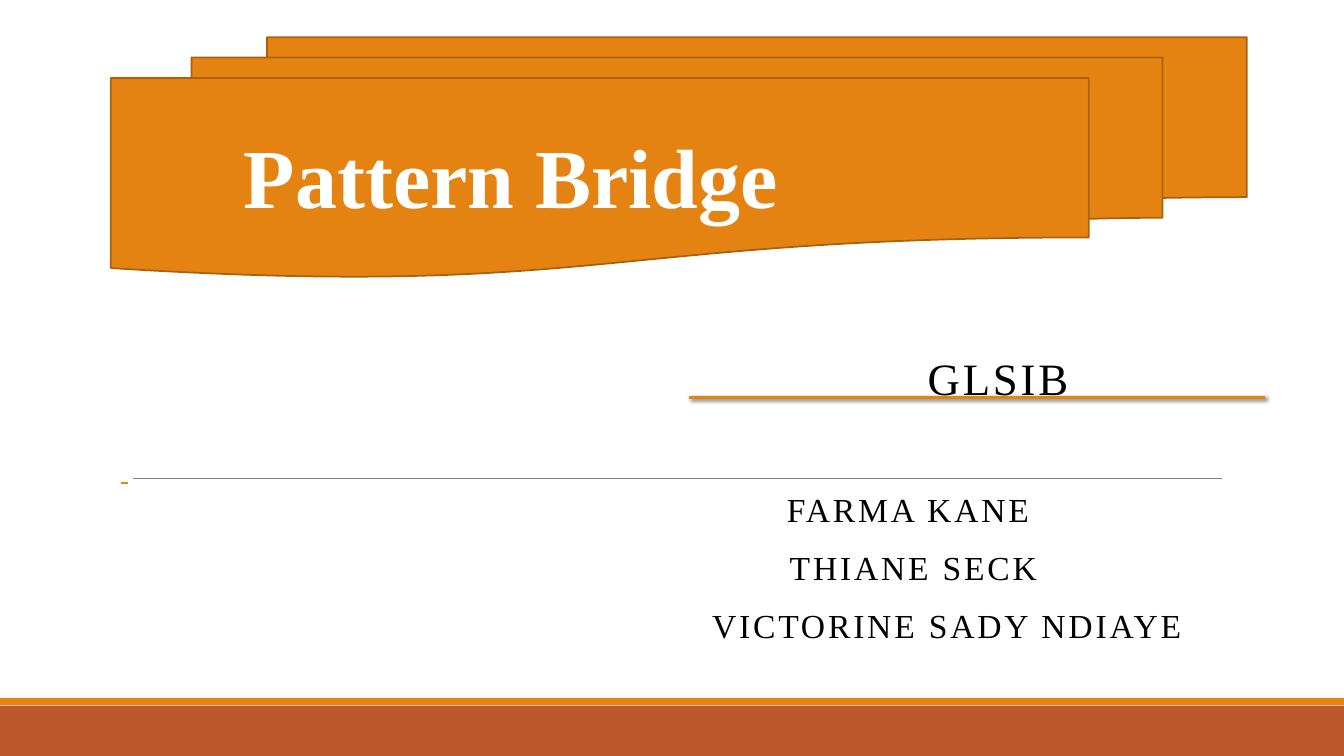
from lxml import etree
from pptx import Presentation
from pptx import util as u
from pptx.dml.color import RGBColor
from pptx.enum import shapes, text
from pptx.oxml import ns

Pt = u.Pt
COLORS = {"orange": "E48312", "rust": "BD582C", "brown": "A9610D",
          "gray": "808080", "white": "FFFFFF", "black": "000000"}
FONT = "Times New Roman"

prs = Presentation()
prs.slide_width, prs.slide_height = Pt(960), Pt(540)
s = prs.slides.add_slide(prs.slide_layouts[0])
title, subtitle = s.placeholders


def add_filled(kind, left, top, width, height, fill):
    """Add a preset shape with a solid fill and no outline or shadow."""
    sp = s.shapes.add_shape(kind, Pt(left), Pt(top), Pt(width), Pt(height))
    sp.shadow.inherit = False
    sp.fill.solid()
    sp.fill.fore_color.rgb = RGBColor.from_string(COLORS[fill])
    sp.line.fill.background()
    return sp


def add_line(x1, x2, y, color, width):
    """Add a horizontal line and return its empty effect list."""
    line = s.shapes.add_connector(shapes.MSO_CONNECTOR.STRAIGHT,
                                  Pt(x1), Pt(y), Pt(x2), Pt(y))
    line.line.color.rgb = RGBColor.from_string(COLORS[color])
    line.line.width = Pt(width)
    return etree.SubElement(line.element.spPr, ns.qn("a:effectLst"))


# Footer bands and divider
RECT = shapes.MSO_SHAPE.RECTANGLE
add_filled(RECT, 0, 504, 960, 36, "rust")
add_filled(RECT, 0, 498.75, 960, 5.05, "orange")
add_line(95, 872.6, 342, "gray", 0.5)
add_line(86.4, 91.4, 344.9, "orange", 1)

# Underline of the group name, with a soft shadow
effects = add_line(492.5, 903.6, 283.7, "orange", 2)
shadow = etree.SubElement(effects, ns.qn("a:outerShdw"), blurRad=str(Pt(3)),
                          dist=str(Pt(2)), dir="2700000", rotWithShape="0")
tint = etree.SubElement(shadow, ns.qn("a:srgbClr"), val=COLORS["black"])
etree.SubElement(tint, ns.qn("a:alpha"), val="60000")

# Title banner
banner = add_filled(shapes.MSO_SHAPE.FLOWCHART_MULTIDOCUMENT,
                    79.2, 26.6, 811.4, 171.4, "orange")
banner.line.color.rgb = RGBColor.from_string(COLORS["brown"])
banner.line.width = Pt(1.25)

# Placeholders come to the front, above the banner
for ph, box in ((title, (167, 85.5, 586, 80)),
                (subtitle, (86.4, 247, 822.2, 219))):
    s.shapes.element.append(ph.element)
    ph.left, ph.top, ph.width, ph.height = map(Pt, box)
    ph.text_frame.word_wrap = True
    ph.text_frame.auto_size = text.MSO_AUTO_SIZE.NONE
    ph.text_frame.vertical_anchor = text.MSO_ANCHOR.TOP

p = title.text_frame.paragraphs[0]
p.text = "Pattern Bridge"
p.alignment = text.PP_ALIGN.LEFT
p.font.name, p.font.size, p.font.bold = FONT, Pt(60), True
p.font.color.rgb = RGBColor.from_string(COLORS["white"])

# Group and authors: text, size, left indent, space before
tf = subtitle.text_frame
tf.margin_top = Pt(7.5)
rows = [("GLSIB", 32, 569, 0),
        ("FARMA KANE", 24, 468.5, 61),
        ("THIANE SECK", 24, 470.5, 13.6),
        ("VICTORINE SADY NDIAYE", 24, 415, 13.6)]
for i, (words, size, indent, before) in enumerate(rows):
    p = tf.add_paragraph() if i else tf.paragraphs[0]
    r = p.add_run()
    r.text = words
    r._r.get_or_add_rPr().set("spc", "200")
    p.alignment = text.PP_ALIGN.LEFT
    p.line_spacing = 0.9
    p.space_before, p.space_after = Pt(before), Pt(2)
    p.font.name, p.font.size = FONT, Pt(size)
    p.font.color.rgb = RGBColor.from_string(COLORS["black"])
    pPr = p._p.get_or_add_pPr()
    pPr.set("marL", str(Pt(indent)))
    pPr.set("indent", "0")

prs.save("out.pptx")
